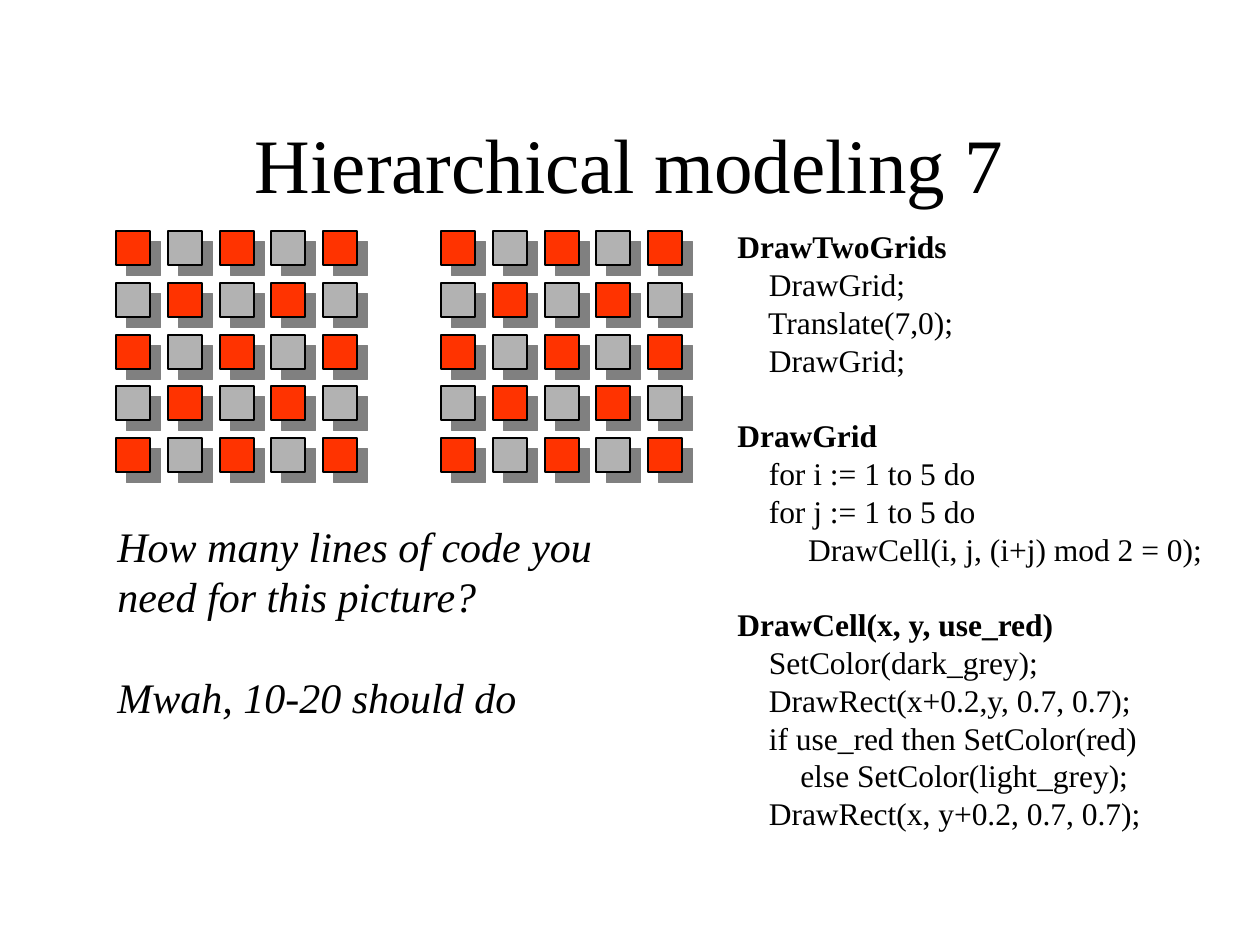
from lxml.etree import SubElement
from pptx import Presentation
from pptx.dml.color import RGBColor
from pptx.enum.shapes import MSO_SHAPE as SHAPE
from pptx.enum.text import MSO_ANCHOR as ANCHOR, MSO_AUTO_SIZE as AUTO, PP_ALIGN as ALIGN
from pptx.oxml.ns import qn
from pptx.util import Emu, Pt

COLORS = {"text": "000000", "line": "000000", "red": "FF3300",
          "light_grey": "B2B2B2", "dark_grey": "808080"}
FONT = "Times New Roman"
CODE = [
    ["DrawTwoGrids",
     "    DrawGrid;",
     "    Translate(7,0);",
     "    DrawGrid;"],
    ["DrawGrid",
     "    for i := 1 to 5 do",
     "    for j := 1 to 5 do",
     "         DrawCell(i, j, (i+j) mod 2 = 0);"],
    ["DrawCell(x, y, use_red)",
     "    SetColor(dark_grey);",
     "    DrawRect(x+0.2,y, 0.7, 0.7);",
     "    if use_red then SetColor(red)",
     "        else SetColor(light_grey);",
     "    DrawRect(x, y+0.2, 0.7, 0.7);"],
]
QUESTION = [["How many lines of code you need for this picture?"],
            ["Mwah, 10-20 should do"]]


def px(n):
    return Emu(round(n * 914400 / 126))


def rgb(name):
    return RGBColor.from_string(COLORS[name])


class Deck:
    line_spacing = 1.2
    cells = 5
    cell_size = 34
    span = 207

    def __init__(self, width, height):
        self.prs = Presentation()
        self.prs.slide_width, self.prs.slide_height = px(width), px(height)
        self.s = self.prs.slides.add_slide(self.prs.slide_layouts[6])

    def text(self, box, blocks, size, frame=None, para=None, font=None, head_bold=False):
        tf = self.s.shapes.add_textbox(*map(px, box)).text_frame
        for key, value in {"word_wrap": True, **(frame or {})}.items():
            setattr(tf, key, value)
        leading = Pt(round(size * self.line_spacing, 2))
        p = tf.paragraphs[0]
        for b, block in enumerate(blocks):
            for n, line in enumerate(block):
                if b or n:
                    p = tf.add_paragraph()
                gap = leading if b and n == 0 else Pt(0)
                for key, value in {"line_spacing": leading, "space_before": gap,
                                   **(para or {})}.items():
                    setattr(p, key, value)
                r = p.add_run()
                r.text = line
                style = {"name": FONT, "size": Pt(size),
                         "bold": head_bold and n == 0, **(font or {})}
                for key, value in style.items():
                    setattr(r.font, key, value)
                r.font.color.rgb = rgb("text")

    def cell(self, group, x, y, use_red):
        sp = group.shapes.add_shape(
            SHAPE.RECTANGLE, *map(px, (x, y, self.cell_size, self.cell_size)))
        sp.fill.solid()
        sp.fill.fore_color.rgb = rgb("red" if use_red else "light_grey")
        sp.line.color.rgb = rgb("line")
        sp.line.width = Pt(0.75)
        sp.shadow.inherit = False
        effects = sp._element.spPr.find(qn("a:effectLst"))
        shadow = SubElement(effects, qn("a:outerShdw"), dist=str(Pt(8.5)),
                            dir="2700000", algn="ctr", rotWithShape="0")
        SubElement(shadow, qn("a:srgbClr"), val=COLORS["dark_grey"])

    def grid(self, left, top):
        group = self.s.shapes.add_group_shape()
        steps = [round(n * self.span / (self.cells - 1)) for n in range(self.cells)]
        for i, dy in enumerate(steps):
            for j, dx in enumerate(steps):
                self.cell(group, left + dx, top + dy, (i + j) % 2 == 0)


def main():
    deck = Deck(1260, 945)
    deck.text((94, 84, 1071, 158), [["Hierarchical modeling 7"]], 44,
              frame={"vertical_anchor": ANCHOR.MIDDLE}, para={"alignment": ALIGN.CENTER})
    for left in (116, 441):
        deck.grid(left, 231)
    grow = {"auto_size": AUTO.SHAPE_TO_FIT_TEXT}
    deck.text((725, 221, 514, 617), CODE, 18, frame=grow, head_bold=True)
    deck.text((105, 514, 567, 214), QUESTION, 24, frame=grow, font={"italic": True})
    deck.prs.save("out.pptx")


if __name__ == "__main__":
    main()
